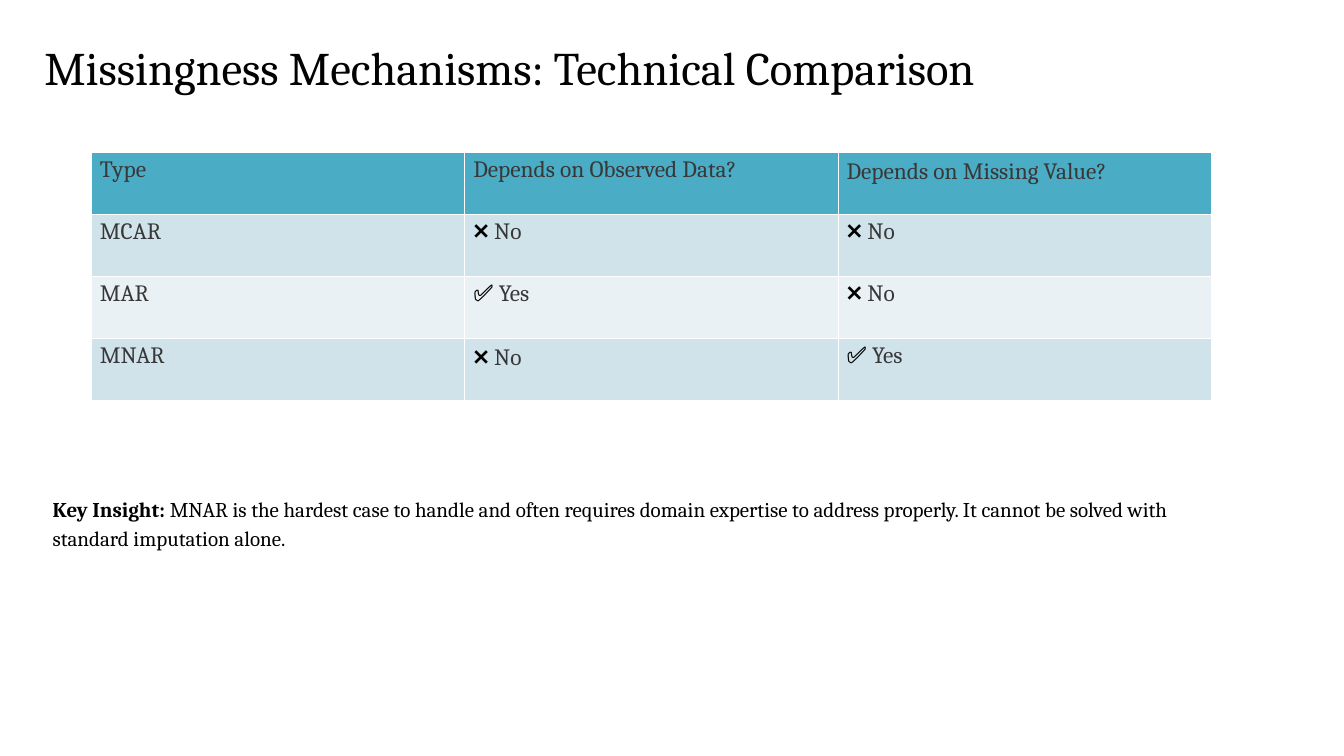
from pptx import Presentation
from pptx.dml.color import RGBColor
from pptx.enum.text import MSO_ANCHOR, MSO_AUTO_SIZE, PP_ALIGN
from pptx.util import Pt

LEFT = PP_ALIGN.LEFT
TOP = MSO_ANCHOR.TOP
GROW = MSO_AUTO_SIZE.SHAPE_TO_FIT_TEXT
TITLE_ONLY = 5
FONT = "Cambria"
COLORS = {
    "title": "020202",
    "cell": "383838",
    "black": "000000",
    "header": "4BACC6",
    "odd": "D0E3EA",
    "even": "E9F1F5",
}
MECHANISMS = [
    ["Type", "Depends on Observed Data?", "Depends on Missing Value?"],
    ["MCAR", "❌ No", "❌ No"],
    ["MAR", "✅ Yes", "❌ No"],
    ["MNAR", "❌ No", "✅ Yes"],
]
SPACED_CELLS = {(0, 2), (3, 1)}
COLUMN_WIDTH, ROW_HEIGHT = 320, 53.15


def color(name):
    return RGBColor.from_string(COLORS[name])


def format_paragraph(para, size, color_name, spacing=None):
    para.alignment = LEFT
    if spacing:
        para.line_spacing = Pt(spacing)
    para.font.name = FONT
    para.font.size = Pt(size)
    para.font.color.rgb = color(color_name)


def add_span(para, text):
    span = para.add_run()
    span.text = text
    return span


def add_title(page, text):
    title = page.shapes.title
    title.left, title.top, title.width, title.height = Pt(38), Pt(30), Pt(1075), Pt(49)
    frame = title.text_frame
    frame.text = text
    frame.word_wrap = True
    frame.auto_size = GROW
    frame.vertical_anchor = TOP
    frame.margin_left = frame.margin_top = frame.margin_right = frame.margin_bottom = 0
    format_paragraph(frame.paragraphs[0], 40, "title", 51)


def fill_cell(cell, text, fill_name, spacing):
    cell.fill.solid()
    cell.fill.fore_color.rgb = color(fill_name)
    para = cell.text_frame.paragraphs[0]
    format_paragraph(para, 20, "cell", spacing)
    para.font.bold = False
    if text[0] in "❌✅":
        add_span(para, text[0]).font.color.rgb = color("black")
        text = text[1:]
    add_span(para, text)


def add_comparison(page):
    rows, columns = len(MECHANISMS), len(MECHANISMS[0])
    table = page.shapes.add_table(
        rows, columns, Pt(78.5), Pt(130.5),
        Pt(columns * COLUMN_WIDTH), Pt(rows * ROW_HEIGHT),
    ).table
    for column in table.columns:
        column.width = Pt(COLUMN_WIDTH)
    for i, texts in enumerate(MECHANISMS):
        table.rows[i].height = Pt(ROW_HEIGHT)
        fill_name = "header" if i == 0 else "odd" if i % 2 else "even"
        for j, text in enumerate(texts):
            spacing = 25 if (i, j) in SPACED_CELLS else None
            fill_cell(table.cell(i, j), text, fill_name, spacing)


def add_insight(page, label, text):
    box = page.shapes.add_textbox(Pt(38), Pt(418.5), Pt(1035.5), Pt(56))
    frame = box.text_frame
    frame.word_wrap = True
    frame.auto_size = GROW
    para = frame.paragraphs[0]
    format_paragraph(para, 18, "black", 25)
    add_span(para, label).font.bold = True
    add_span(para, text)


def main():
    deck = Presentation()
    deck.slide_width, deck.slide_height = Pt(1152), Pt(648)
    page = deck.slides.add_slide(deck.slide_layouts[TITLE_ONLY])
    add_title(page, "Missingness Mechanisms: Technical Comparison")
    add_comparison(page)
    add_insight(
        page,
        "Key Insight:",
        " MNAR is the hardest case to handle and often requires domain expertise"
        " to address properly. It cannot be solved with standard imputation alone.",
    )
    deck.save("out.pptx")


if __name__ == "__main__":
    main()
